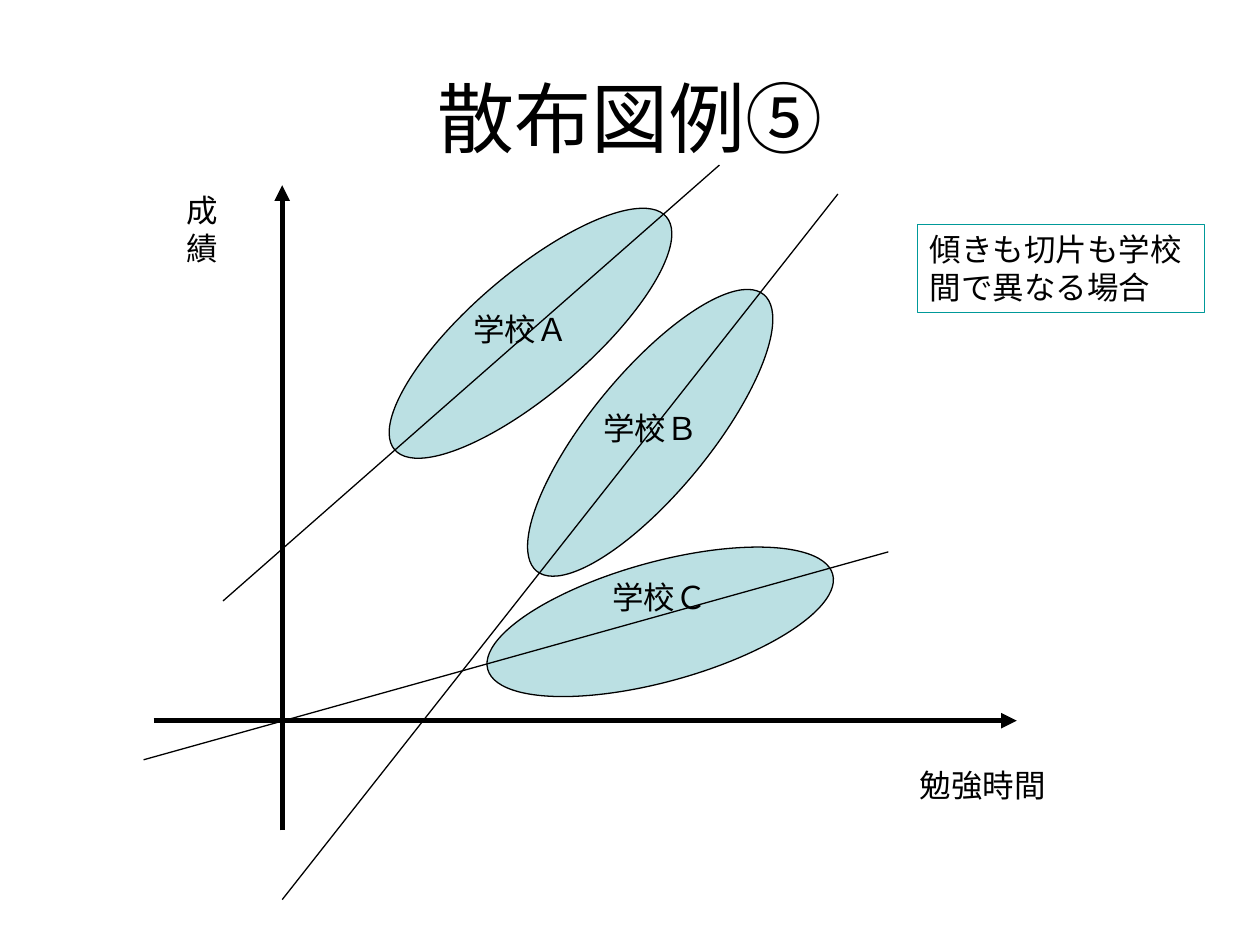
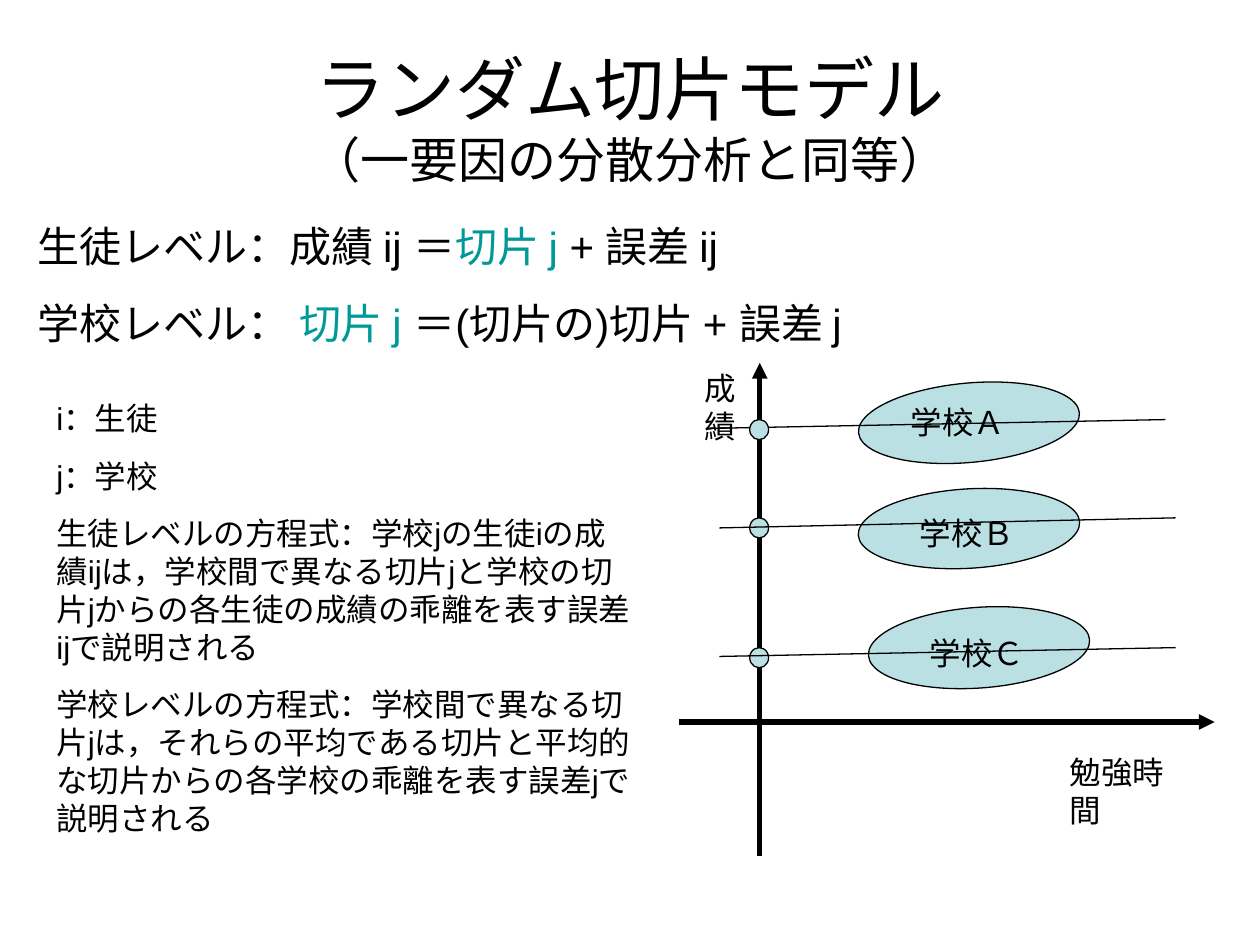
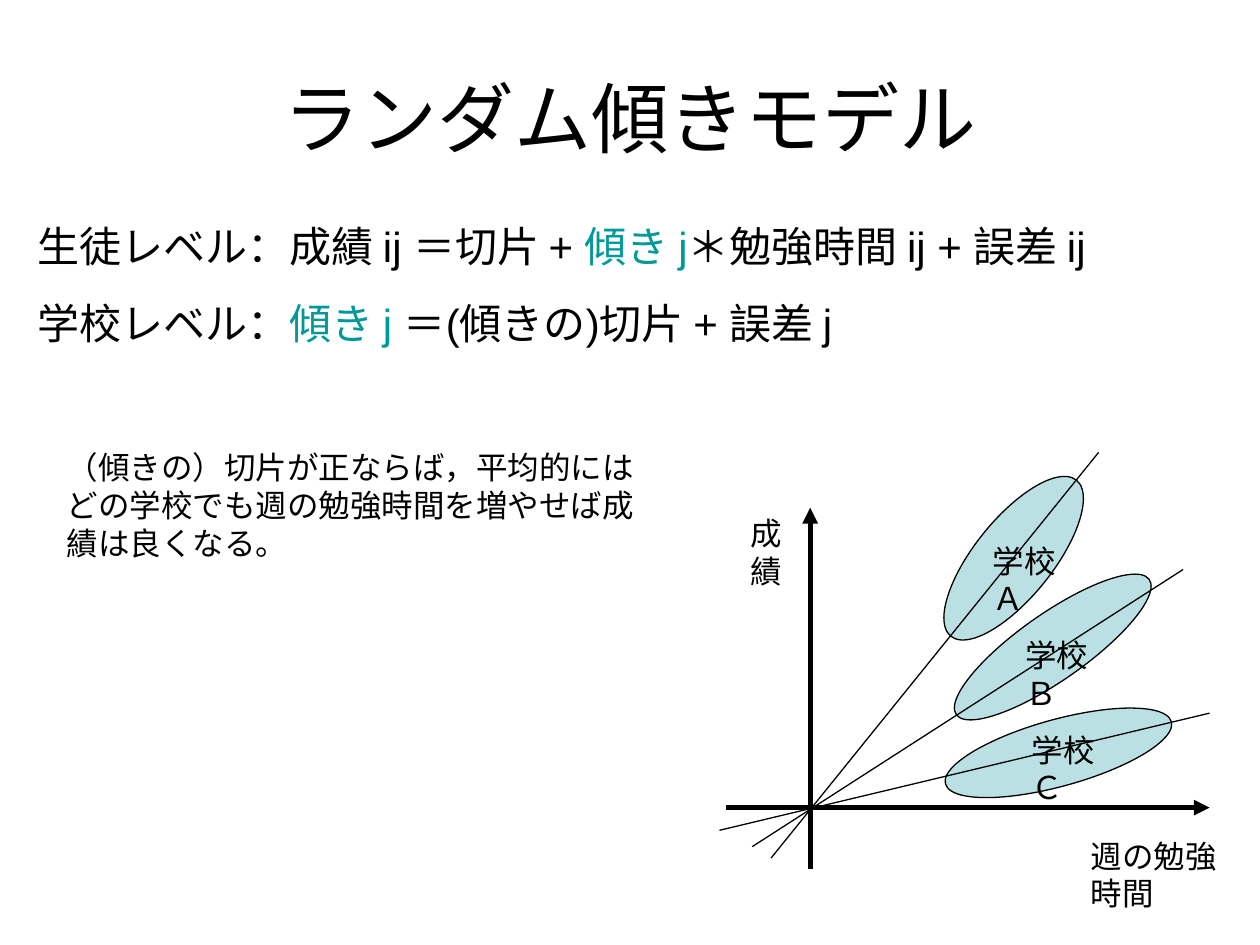
from pptx import Presentation
from pptx.util import Inches, Pt
from pptx.dml.color import RGBColor as RGB
from pptx.enum.shapes import MSO_SHAPE as SHAPE, MSO_CONNECTOR as CONN
from pptx.enum.text import MSO_ANCHOR as ANCHOR, PP_ALIGN as ALIGN
from pptx.oxml.ns import qn
from lxml import etree

COLORS = {"ink": "000000", "accent": "009999", "cloud": "BBE0E3"}
FONT = "Arial"
DOT = (0.15, 0.16)


def add_text(s, box, paragraphs, size=18, gap=11.25):
    tb = s.shapes.add_textbox(*map(Inches, box))
    tf = tb.text_frame
    tf.word_wrap = True
    for i, runs in enumerate(paragraphs):
        p = tf.paragraphs[0] if i == 0 else tf.add_paragraph()
        if i:
            p.space_before = Pt(gap)
        for text, color in runs:
            r = p.add_run()
            r.text = text
            r.font.size = Pt(size)
            r.font.name = FONT
            r.font.color.rgb = RGB.from_string(COLORS[color])
    return tb


def add_line(s, ends, width=0.75, arrow=False):
    c = s.shapes.add_connector(CONN.STRAIGHT, *map(Inches, ends))
    c.line.color.rgb = RGB.from_string(COLORS["ink"])
    c.line.width = Pt(width)
    if arrow:
        etree.SubElement(c.line._get_or_add_ln(), qn("a:tailEnd"), type="triangle")
    etree.SubElement(c._element.spPr, qn("a:effectLst"))


SLIDES = [
    {
        "title": [("散布図例⑤", 44)],
        "axes": [(1.22, 5.72, 8.07, 5.72), (2.24, 6.59, 2.24, 1.47)],
        "axis_labels": [("勉強時間", (7.2, 6.03, 1.89, 0.4)),
                        ("成績", (1.38, 1.47, 0.55, 0.7))],
        "clouds": [(2.79, 2.17, 2.84, 0.95, 139.4),
                   (3.74, 2.96, 2.84, 0.95, 129.4),
                   (3.82, 4.46, 2.84, 0.95, 164.6)],
        "names": [(3.66, 2.41, 1.26, 0.4), (4.69, 3.2, 1.26, 0.4), (4.76, 4.54, 1.26, 0.4)],
        "trends": [(1.77, 4.77, 5.71, 1.31), (2.24, 7.14, 6.65, 1.54), (1.14, 6.03, 7.05, 4.38)],
        "dots": [],
        "formula_width": 0,
        "formulas": [],
        "notes_box": (7.28, 1.78, 2.28, 0.7),
        "notes": ["傾きも切片も学校間で異なる場合"],
        "framed": True,
    },
    {
        "title": [("ランダム切片モデル", 40), ("（一要因の分散分析と同等）", 28)],
        "axes": [(5.39, 5.73, 9.64, 5.73), (6.03, 6.79, 6.03, 2.88)],
        "axis_labels": [("勉強時間", (8.39, 5.93, 1.17, 0.7)),
                        ("成績", (5.49, 2.88, 0.34, 0.7))],
        "clouds": [(6.81, 3.04, 1.76, 0.63, 174.8),
                   (6.81, 3.88, 1.76, 0.63, 176.6),
                   (6.89, 4.82, 1.76, 0.64, 175.9)],
        "names": [(7.13, 3.15, 1.1, 0.4), (7.2, 4.03, 1.1, 0.4), (7.28, 4.98, 1.02, 0.4)],
        "trends": [(5.63, 3.4, 9.25, 3.33), (5.71, 4.19, 9.33, 4.11), (5.71, 5.21, 9.33, 5.14)],
        "dots": [(5.95, 3.33), (5.95, 4.11), (5.95, 5.14)],
        "formula_width": 6.61,
        "formulas": [
            [("生徒レベル：成績 ij ＝", "ink"), ("切片 j", "accent"), (" + 誤差 ij", "ink")],
            [("学校レベル： ", "ink"), ("切片 j ", "accent"), ("＝(切片の)切片 + 誤差 j", "ink")],
        ],
        "notes_box": (0.35, 3.12, 4.8, 3.57),
        "notes": [
            "i：生徒",
            "j：学校",
            "生徒レベルの方程式：学校jの生徒iの成績ijは，学校間で異なる切片jと"
            "学校の切片jからの各生徒の成績の乖離を表す誤差ijで説明される",
            "学校レベルの方程式：学校間で異なる切片jは，それらの平均である切片と"
            "平均的な切片からの各学校の乖離を表す誤差jで説明される",
        ],
        "framed": False,
    },
    {
        "title": [("ランダム傾きモデル", 44)],
        "axes": [(5.76, 6.41, 9.6, 6.41), (6.43, 6.9, 6.43, 4.03)],
        "axis_labels": [("週の勉強時間", (8.56, 6.59, 1.24, 0.7)),
                        ("成績", (5.86, 4.03, 0.36, 0.7))],
        "clouds": [(7.25, 4.12, 1.59, 0.62, 128.8),
                   (7.42, 4.87, 1.87, 0.53, 145),
                   (7.47, 5.71, 1.86, 0.53, 164.6)],
        "names": [(7.78, 4.25, 0.83, 0.7), (8.04, 5, 0.83, 0.7), (8.09, 5.75, 0.83, 0.7)],
        "trends": [(6.12, 6.81, 8.72, 3.59), (5.97, 6.72, 9.39, 4.52), (5.71, 6.59, 9.6, 5.66)],
        "dots": [],
        "formula_width": 8.9,
        "formulas": [
            [("生徒レベル：成績 ij ＝切片 + ", "ink"), ("傾き j", "accent"),
             ("＊勉強時間 ij + 誤差 ij", "ink")],
            [("学校レベル：", "ink"), ("傾き j", "accent"), (" ＝(傾きの)切片 + 誤差 j", "ink")],
        ],
        "notes_box": (0.43, 3.51, 4.8, 1),
        "notes": ["（傾きの）切片が正ならば，平均的にはどの学校でも"
                  "週の勉強時間を増やせば成績は良くなる。"],
        "framed": False,
    },
]

prs = Presentation()
prs.slide_width, prs.slide_height = Inches(10), Inches(7.5)

for d in SLIDES:
    s = prs.slides.add_slide(prs.slide_layouts[6])

    title = add_text(s, (0.5, 0.3, 9, 1.25), [[(text, "ink")] for text, _ in d["title"]], gap=0)
    title.text_frame.vertical_anchor = ANCHOR.MIDDLE
    for p, (_, size) in zip(title.text_frame.paragraphs, d["title"]):
        p.alignment = ALIGN.CENTER
        p.runs[0].font.size = Pt(size)

    if d["formulas"]:
        add_text(s, (0.2, 1.7, d["formula_width"], 2.12), d["formulas"], size=24, gap=15)

    for axis in d["axes"]:
        add_line(s, axis, width=3, arrow=True)

    add_line_first, *other_trends = d["trends"]
    ovals = d["clouds"] + [(x, y, *DOT, 0) for x, y in d["dots"]]
    for i, (*box, angle) in enumerate(ovals):
        if i == len(d["clouds"]):
            add_line(s, add_line_first)
        sp = s.shapes.add_shape(SHAPE.OVAL, *map(Inches, box))
        sp.rotation = angle
        sp.shadow.inherit = False
        sp.fill.solid()
        sp.fill.fore_color.rgb = RGB.from_string(COLORS["cloud"])
        sp.line.color.rgb = RGB.from_string(COLORS["ink"])
        sp.line.width = Pt(0.75)

    for text, box in d["axis_labels"] + list(zip(("学校Ａ", "学校Ｂ", "学校Ｃ"), d["names"])):
        add_text(s, box, [[(text, "ink")]])

    for trend in other_trends if d["dots"] else d["trends"]:
        add_line(s, trend)

    notes = add_text(s, d["notes_box"], [[(text, "ink")] for text in d["notes"]])
    if d["framed"]:
        notes.line.color.rgb = RGB.from_string(COLORS["accent"])
        notes.line.width = Pt(0.75)

prs.save("out.pptx")
